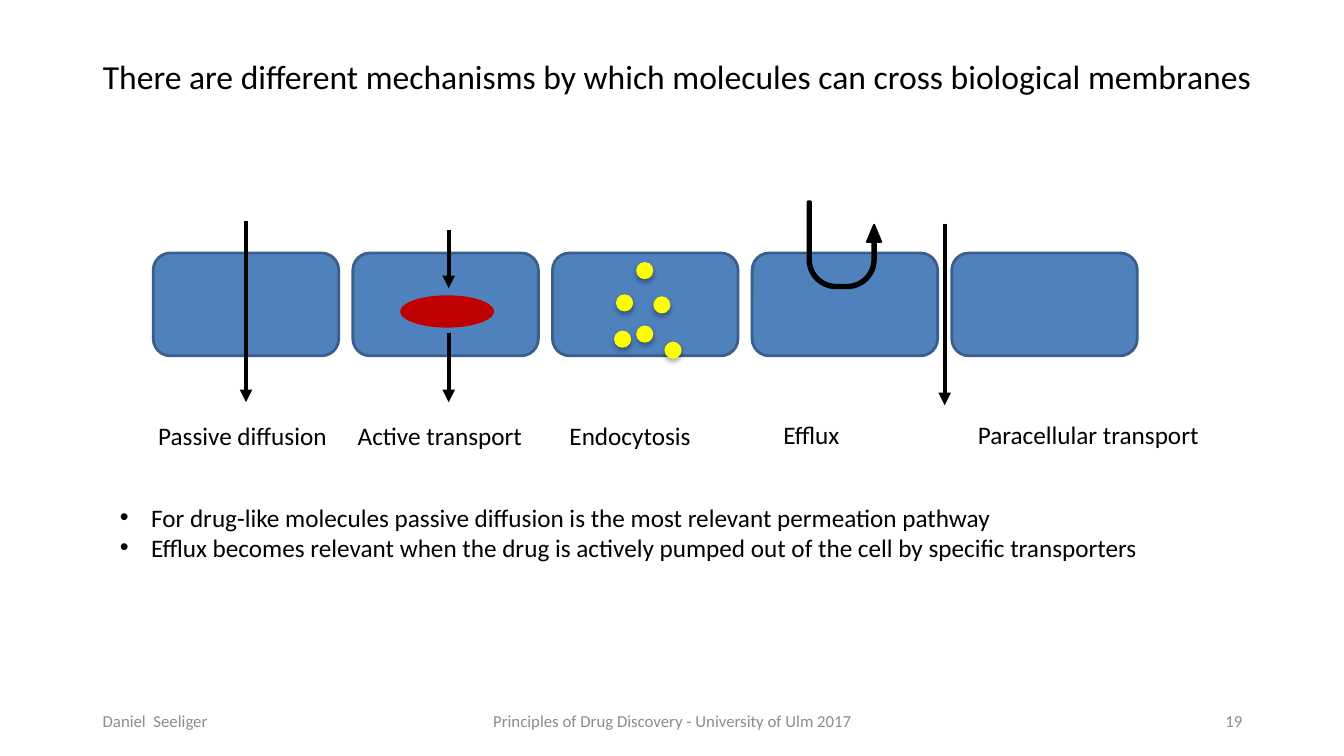
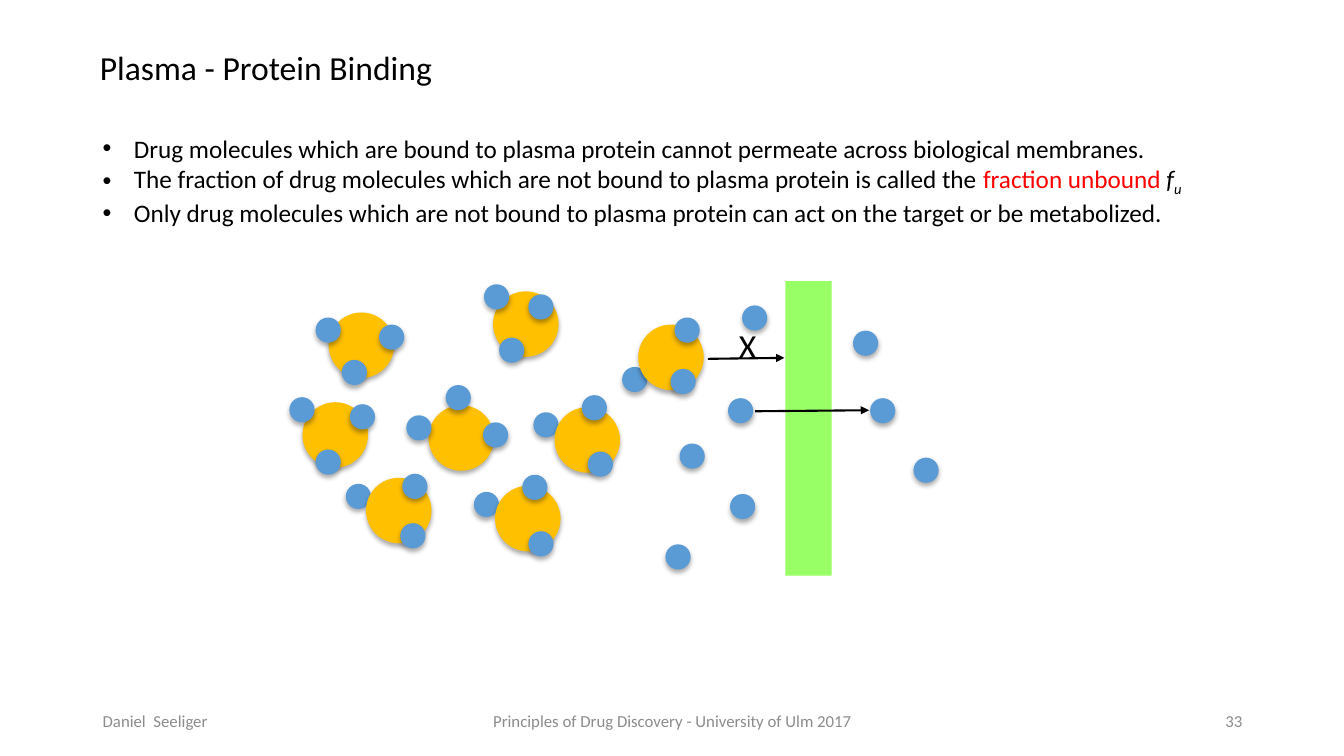
from pptx import Presentation
from pptx.dml.color import RGBColor
from pptx.enum.shapes import MSO_CONNECTOR as Connector, MSO_SHAPE as Shape
from pptx.enum.text import MSO_ANCHOR as Anchor, MSO_AUTO_SIZE as AutoSize, PP_ALIGN as Align
from pptx.oxml import parse_xml
from pptx.oxml.ns import nsdecls, qn
from pptx.util import Inches, Pt

FONT = "Calibri"
BLACK, GREY, RED = "000000", "8C8C8C", "FF0000"
CELL, CELL_EDGE, TRANSPORTER, VESICLE = "4F81BD", "3A5F8C", "C00000", "FFFF00"
PROTEIN, DRUG, MEMBRANE = "FFC000", "5B9BD5", "99FF66"
SHADOW = (
    f'<a:outerShdw {nsdecls("a")} blurRad="44450" dist="27940" dir="5400000" rotWithShape="0">'
    '<a:srgbClr val="000000"><a:alpha val="32000"/></a:srgbClr></a:outerShdw>'
)


def write_text(shape, paragraphs, size=18, color=BLACK, align=Align.LEFT, anchor=Anchor.TOP, bullets=False):
    frame = shape.text_frame
    frame.word_wrap = True
    frame.auto_size = AutoSize.NONE
    frame.vertical_anchor = anchor
    for index, runs in enumerate(paragraphs):
        paragraph = frame.add_paragraph() if index else frame.paragraphs[0]
        paragraph.alignment = align
        if bullets:
            properties = paragraph._p.get_or_add_pPr()
            properties.set("marL", str(Inches(0.31)))
            properties.set("indent", str(-Inches(0.31)))
            properties.append(parse_xml(f'<a:buFont {nsdecls("a")} typeface="Arial"/>'))
            properties.append(parse_xml(f'<a:buChar {nsdecls("a")} char="•"/>'))
        for text, style in runs:
            run = paragraph.add_run()
            run.text = text
            run.font.name = FONT
            run.font.size = Pt(size)
            run.font.italic = style.get("italic", False)
            run.font.color.rgb = RGBColor.from_string(style.get("color", color))
            if style.get("subscript"):
                run._r.get_or_add_rPr().set("baseline", "-25000")


def draw_shape(slide, kind, left, top, width, height, fill, edge=None, edge_width=0, shadow=False):
    shape = slide.shapes.add_shape(kind, Inches(left), Inches(top), Inches(width), Inches(height))
    shape.shadow.inherit = False
    shape.fill.solid()
    shape.fill.fore_color.rgb = RGBColor.from_string(fill)
    if edge:
        shape.line.color.rgb = RGBColor.from_string(edge)
        shape.line.width = Pt(edge_width)
    else:
        shape.line.fill.background()
    if shadow:
        shape._element.spPr.find(qn("a:effectLst")).append(parse_xml(SHADOW))
    return shape


presentation = Presentation()
presentation.slide_width = Inches(13.33)
presentation.slide_height = Inches(7.5)

slides = []
for title, left, top, number in [
    ("There are different mechanisms by which molecules can cross biological membranes", 0.92, 0.5, "19"),
    ("Plasma - Protein Binding", 0.89, 0.42, "33"),
]:
    slide = presentation.slides.add_slide(presentation.slide_layouts[5])
    slides.append(slide)
    heading = slide.shapes.title
    heading.left, heading.top = Inches(left), Inches(top)
    heading.width, heading.height = Inches(11.9), Inches(0.5)
    write_text(heading, [[(title, {})]], size=24)
    for text, footer_left, width, align in [
        ("Daniel  Seeliger", 0.92, 3, Align.LEFT),
        ("Principles of Drug Discovery - University of Ulm 2017", 4.42, 4.5, Align.CENTER),
        (number, 9.42, 3, Align.RIGHT),
    ]:
        footer = slide.shapes.add_textbox(Inches(footer_left), Inches(6.95), Inches(width), Inches(0.4))
        write_text(footer, [[(text, {})]], size=12, color=GREY, align=align, anchor=Anchor.MIDDLE)
transport, binding = slides

for column in range(5):
    draw_shape(transport, Shape.ROUNDED_RECTANGLE, 1.52 + column * 1.98, 2.51, 1.84, 1.02, CELL, CELL_EDGE, 2)

efflux = draw_shape(transport, Shape.U_TURN_ARROW, 8.01, 2, 0.73, 0.86, BLACK, BLACK, 1.5)
efflux._element.spPr.find(qn("a:xfrm")).set("flipV", "1")
for index, value in enumerate([0.045, 0.096, 0.23, 0.389, 0.73]):
    efflux.adjustments[index] = value

draw_shape(transport, Shape.OVAL, 3.97, 2.93, 0.93, 0.32, TRANSPORTER)
for left, top in [(6.31, 2.6), (6.48, 2.94), (6.31, 3.23), (6.59, 3.39), (6.11, 2.92), (6.09, 3.28)]:
    draw_shape(transport, Shape.OVAL, left, top, 0.17, 0.17, VESICLE, shadow=True)

clusters = [
    ((3.26, 3.1), [], [(3.13, 3.15), (3.76, 3.22), (3.39, 3.57)]),
    ((3, 3.99), [], [(2.87, 3.94), (3.47, 4.01), (3.13, 4.46)]),
    ((4.25, 4.02), [], [(4.03, 4.12), (4.79, 4.19), (4.42, 3.82)]),
    ((4.89, 2.89), [], [(4.95, 3.35), (5.24, 2.92), (4.8, 2.82)]),
    ((6.33, 3.22), [(6.17, 3.64)], [(6.69, 3.15), (6.65, 3.66)]),
    ((5.5, 4.04), [(5.29, 4.09)], [(5.77, 3.92), (5.83, 4.48)]),
    ((3.63, 4.74), [(3.43, 4.8)], [(3.99, 4.7), (3.97, 5.19)]),
    ((4.91, 4.82), [(4.7, 4.88)], [(5.18, 4.71), (5.24, 5.27)]),
]
unbound = [
    (8.46, 3.28), (7.36, 3.03), (7.22, 3.95), (6.74, 4.4),
    (6.6, 5.4), (7.24, 4.9), (8.63, 3.95), (9.06, 4.54),
]
molecules = []
for protein, behind, front in clusters:
    molecules += [(point, 0.25, DRUG) for point in behind]
    molecules.append((protein, 0.65, PROTEIN))
    molecules += [(point, 0.25, DRUG) for point in front]
molecules += [(point, 0.25, DRUG) for point in unbound]
for (left, top), diameter, fill in molecules:
    draw_shape(binding, Shape.OVAL, left, top, diameter, diameter, fill, shadow=True)
draw_shape(binding, Shape.RECTANGLE, 7.79, 2.79, 0.46, 2.92, MEMBRANE)

for slide, start_x, start_y, end_x, end_y, width in [
    (transport, 9.37, 2.22, 9.37, 4.02, 3),
    (transport, 2.44, 2.19, 2.44, 3.99, 3),
    (transport, 4.45, 2.28, 4.45, 2.86, 3),
    (transport, 4.45, 3.3, 4.45, 3.99, 3),
    (binding, 7.49, 4.08, 8.62, 4.07, 1.5),
    (binding, 7.02, 3.56, 7.78, 3.55, 1.5),
]:
    arrow = slide.shapes.add_connector(
        Connector.STRAIGHT, Inches(start_x), Inches(start_y), Inches(end_x), Inches(end_y)
    )
    arrow.line.color.rgb = RGBColor.from_string(BLACK)
    arrow.line.width = Pt(width)
    arrow.line._get_or_add_ln().append(parse_xml(f'<a:tailEnd {nsdecls("a")} type="triangle"/>'))
    arrow._element.spPr.append(parse_xml(f'<a:effectLst {nsdecls("a")}/>'))

for slide, text, left, top, width, size in [
    (transport, "Passive diffusion", 1.47, 4.12, 1.95, 18),
    (transport, "Active transport", 3.45, 4.12, 1.9, 18),
    (transport, "Endocytosis", 5.55, 4.12, 1.5, 18),
    (transport, "Efflux", 7.67, 4.11, 0.85, 18),
    (transport, "Paracellular transport", 9.6, 4.11, 2.5, 18),
    (binding, "X", 7.23, 3.17, 0.56, 24),
]:
    label = slide.shapes.add_textbox(Inches(left), Inches(top), Inches(width), Inches(0.4))
    write_text(label, [[(text, {})]], size=size)

for slide, left, top, width, height, paragraphs in [
    (transport, 1.09, 4.93, 10.6, 0.71, [
        [("For drug-like molecules passive diffusion is the most relevant permeation pathway", {})],
        [("Efflux becomes relevant when the drug is actively pumped out of the cell by specific transporters", {})],
    ]),
    (binding, 0.92, 1.27, 11.3, 1.01, [
        [("Drug molecules which are bound to plasma protein cannot permeate across biological membranes.", {})],
        [
            ("The fraction of drug molecules which are not bound to plasma protein is called the ", {}),
            ("fraction unbound ", {"color": RED}),
            ("f", {"italic": True}),
            ("u", {"italic": True, "subscript": True}),
        ],
        [("Only drug molecules which are not bound to plasma protein can act on the target or be metabolized.", {})],
    ]),
]:
    points = slide.shapes.add_textbox(Inches(left), Inches(top), Inches(width), Inches(height))
    write_text(points, paragraphs, bullets=True)

presentation.save("out.pptx")
